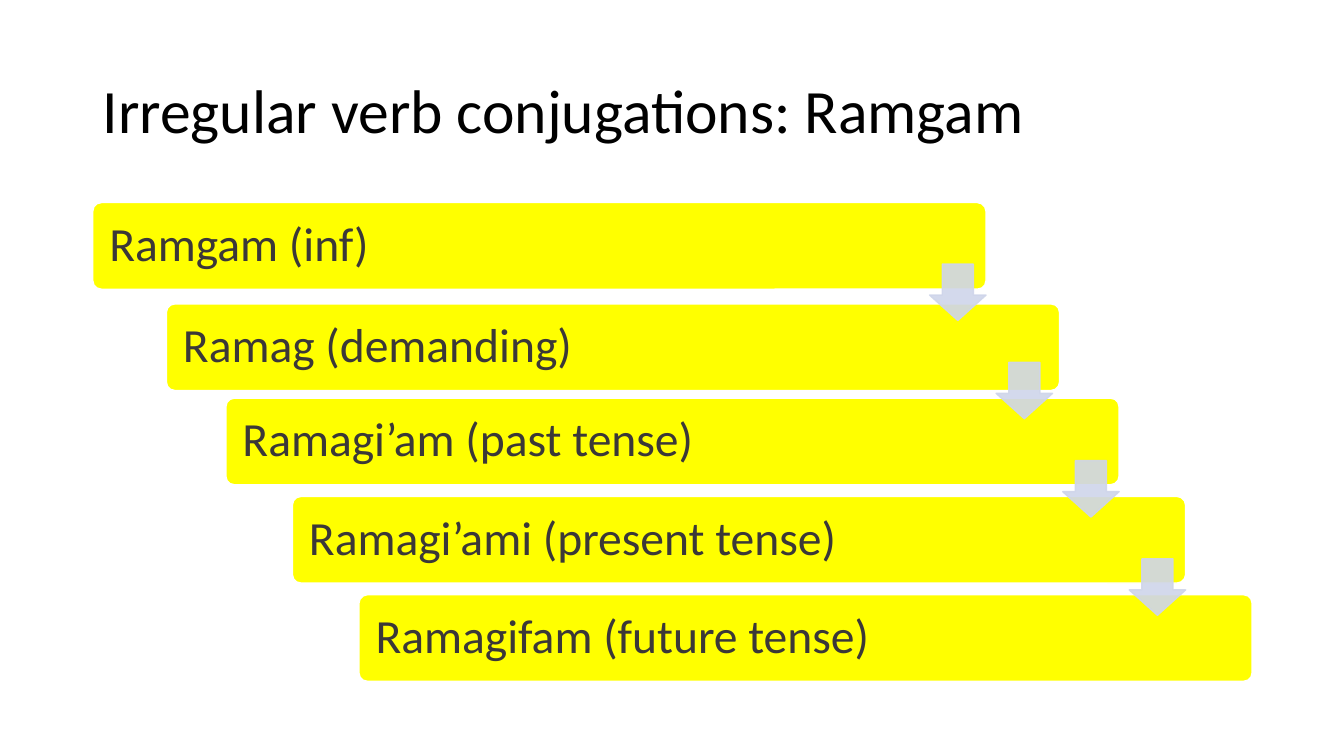
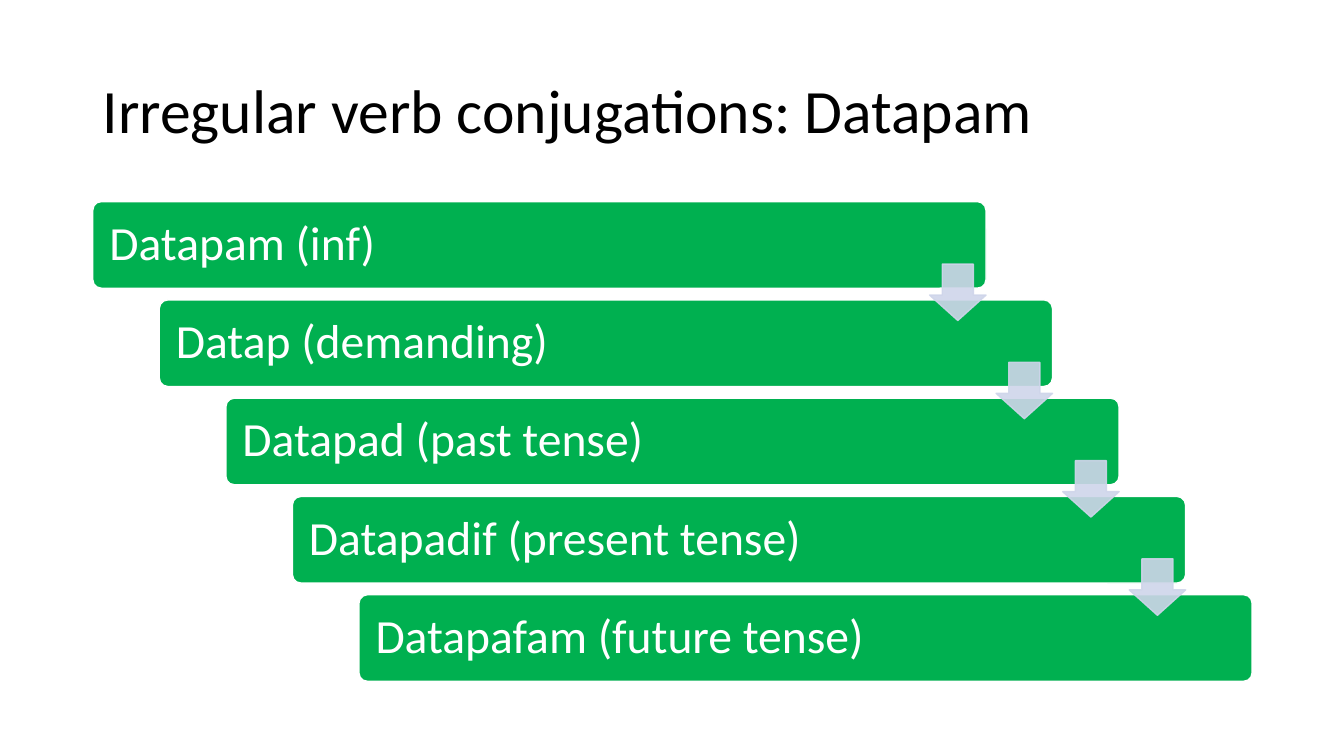
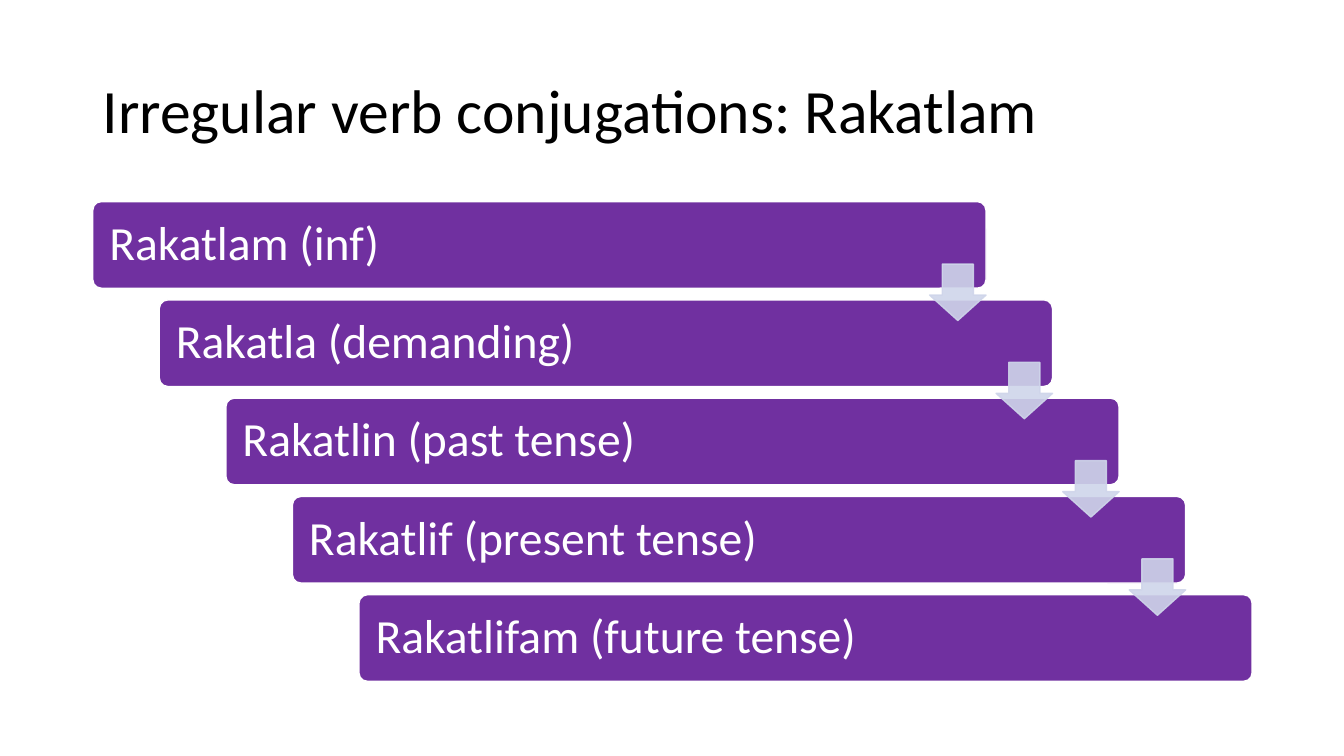
"""Build three slides of stepped verb conjugations."""
from lxml.etree import SubElement
from pptx import Presentation
from pptx.dml.color import RGBColor
from pptx.enum.shapes import MSO_SHAPE
from pptx.enum.text import MSO_ANCHOR, PP_ALIGN
from pptx.oxml.ns import qn
from pptx.util import Inches, Pt

BLACK = RGBColor(0x00, 0x00, 0x00)
WHITE = RGBColor(0xFF, 0xFF, 0xFF)
GREY = RGBColor(0x3B, 0x38, 0x38)
YELLOW = RGBColor(0xFF, 0xFF, 0x00)
GREEN = RGBColor(0x00, 0xB0, 0x50)
PURPLE = RGBColor(0x70, 0x30, 0xA0)
PALE = RGBColor(0xCF, 0xD5, 0xEA)

FORMS = ["inf", "demanding", "past tense", "present tense", "future tense"]
LEFT, TOP = 0.92, 2
COL, ROW = 0.66, 3.9 / 4
WIDE, HIGH, SIDE = 8.86, 0.86, 0.56
EVEN = [(0, 0)] * 5
LOOSE = [(0, 0.01), (0.07, 0.04)] + [(0, 0)] * 3

VERBS = [
    (["Ramgam", "Ramag", "Ramagi’am", "Ramagi’ami", "Ramagifam"],
     YELLOW, GREY, LOOSE),
    (["Datapam", "Datap", "Datapad", "Datapadif", "Datapafam"],
     GREEN, WHITE, EVEN),
    (["Rakatlam", "Rakatla", "Rakatlin", "Rakatlif", "Rakatlifam"],
     PURPLE, WHITE, EVEN),
]


def write(shape, text, size, ink):
    frame = shape.text_frame
    frame.word_wrap = True
    frame.vertical_anchor = MSO_ANCHOR.MIDDLE
    frame.text = text
    para = frame.paragraphs[0]
    para.alignment = PP_ALIGN.LEFT
    para.line_spacing = 0.9
    font = para.runs[0].font
    font.name = "Calibri"
    font.size = Pt(size)
    font.color.rgb = ink


def draw(slide, kind, box, fill, line):
    shape = slide.shapes.add_shape(kind, *[Inches(n) for n in box])
    shape.shadow.inherit = False
    shape.fill.solid()
    shape.fill.fore_color.rgb = fill
    shape.line.color.rgb = line
    shape.line.width = Pt(1)
    return shape


deck = Presentation()
deck.slide_width = Inches(13.33)
deck.slide_height = Inches(7.5)

for words, fill, ink, shifts in VERBS:
    slide = deck.slides.add_slide(deck.slide_layouts[6])
    title = slide.shapes.add_textbox(
        Inches(LEFT), Inches(0.4), Inches(11.5), Inches(1.45))
    write(title, f"Irregular verb conjugations: {words[0]}", 44, BLACK)

    for i, (word, form, (dx, dy)) in enumerate(zip(words, FORMS, shifts)):
        box = (LEFT + i * COL + dx, TOP + i * ROW + dy, WIDE, HIGH)
        bar = draw(slide, MSO_SHAPE.ROUNDED_RECTANGLE, box, fill, WHITE)
        bar.adjustments[0] = 0.1
        bar.text_frame.margin_left = Inches(0.14)
        write(bar, f"{word} ({form})", 34, ink)

    for i in range(len(words) - 1):
        box = (LEFT + WIDE - SIDE + i * COL, TOP + 0.62 + i * ROW, SIDE, SIDE)
        arrow = draw(slide, MSO_SHAPE.DOWN_ARROW, box, PALE, PALE)
        arrow.adjustments[0] = 0.55
        arrow.adjustments[1] = 0.45
        for tint in arrow.element.spPr.iter(qn("a:srgbClr")):
            SubElement(tint, qn("a:alpha"), val="90000")

deck.save("out.pptx")
